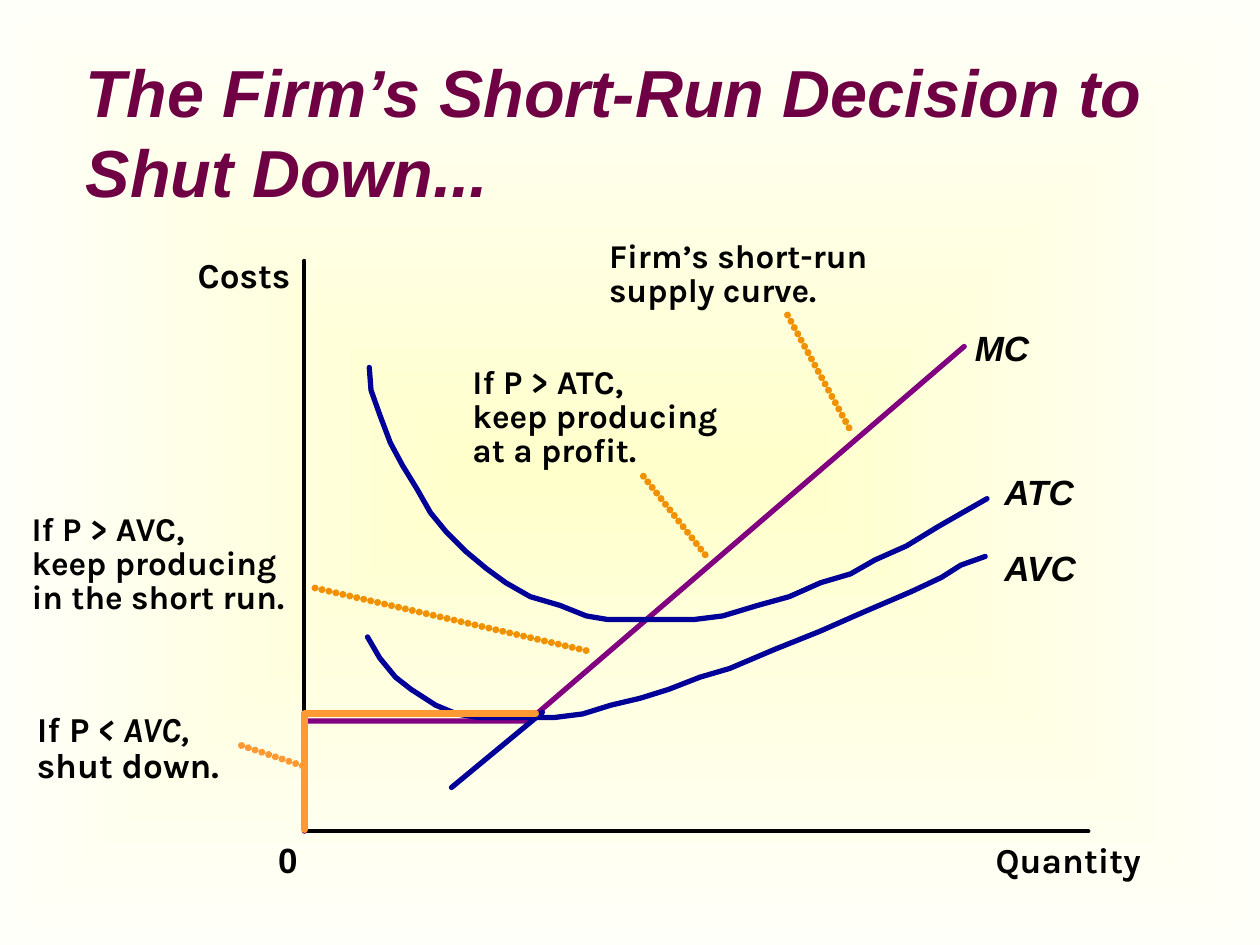
from dataclasses import dataclass

from lxml.etree import SubElement
from pptx import Presentation
from pptx.dml.color import RGBColor
from pptx.enum.shapes import MSO_CONNECTOR
from pptx.enum.text import MSO_ANCHOR
from pptx.oxml.ns import qn
from pptx.util import Pt


@dataclass(frozen=True)
class Theme:
    center: str = "FFFFCC"
    edge: str = "FFFFFA"
    title: str = "6E0043"
    ink: str = "000000"
    supply: str = "800080"
    cost: str = "000099"
    shutdown: str = "FF9933"
    leader: str = "EF9100"
    title_size: int = 38
    label_size: int = 20
    note_size: int = 19
    sans: str = "Arial"
    text: str = "Karla"


THEME = Theme()

# Curve points in points, measured from the top of the cost axis
ATC = [(37, 61), (38, 74), (43, 88), (49, 104), (56, 117), (64, 130), (72, 144),
       (81, 155), (92, 166), (104, 176), (115, 184), (129, 192), (146, 197),
       (161, 203), (173, 205), (223, 205), (239, 203), (259, 197), (277, 192),
       (295, 184), (312, 179), (326, 171), (344, 163), (362, 152), (390, 136)]
AVC = [(36, 215), (43, 227), (52, 238), (61, 245), (75, 254), (87, 259),
       (99, 261), (143, 261), (159, 259), (175, 254), (192, 250), (208, 245),
       (226, 238), (243, 233), (269, 222), (294, 212), (319, 201), (347, 189),
       (364, 181), (375, 174), (389, 169)]
MC = [(377, 49), (128, 263), (0, 263), (0, 326)]

# Text, x, y, width, font, italic
LABELS = [
    ("Costs", -61, -4, 58, THEME.text, False),
    ("Quantity", 395, 330, 94, THEME.text, False),
    ("0", -15, 330, 14, THEME.sans, False),
    ("MC", 383, 37.5, 40, THEME.sans, True),
    ("ATC", 400, 120, 48, THEME.sans, True),
    ("AVC", 400, 163, 48, THEME.sans, True),
]

# Lines of (text, italic) runs, box, size, leader ends, leader colour
NOTES = [
    ([[("If P", False), (" < AVC,", True)], [("shut down.", False)]],
     (-153, 259, 112, 41), THEME.label_size, [(-36, 277), (0, 289)], THEME.shutdown),
    ([[("If P > AVC,", False)], [("keep producing", False)], [("in the short run.", False)]],
     (-156, 145, 154, 58), THEME.note_size, [(6, 187), (162, 223)], THEME.leader),
    ([[("If P > ATC,", False)], [("keep producing", False)], [("at a profit.", False)]],
     (96, 61, 153, 58), THEME.note_size, [(229, 168), (192, 121)], THEME.leader),
    ([[("Firm’s short-run supply curve.", False)]],
     (174, -11, 204, 39), THEME.note_size, [(276, 31), (312, 97)], THEME.leader),
]


def apply(target, formats):
    for name, value in formats.items():
        setattr(target, name, value)


def style_stroke(stroke, color, width, dotted=False):
    stroke.line.color.rgb = RGBColor.from_string(color)
    stroke.line.width = Pt(width)
    outline = stroke.line._get_or_add_ln()
    outline.set("cap", "rnd")
    if dotted:
        dashes = SubElement(outline, qn("a:custDash"))
        SubElement(dashes, qn("a:ds"), d="100000", sp="2000")


def add_text(slide, box, lines, *, size, font, color=THEME.ink, wrap=False,
             spacing=None, margins=(0, 0), anchor=MSO_ANCHOR.TOP):
    """Place bold text; each line is a list of (text, italic) runs."""
    frame = slide.shapes.add_textbox(*map(Pt, box)).text_frame
    side, vertical = map(Pt, margins)
    apply(frame, {"word_wrap": wrap, "vertical_anchor": anchor,
                  "margin_left": side, "margin_right": side,
                  "margin_top": vertical, "margin_bottom": vertical})
    for index, line in enumerate(lines):
        paragraph = frame.add_paragraph() if index else frame.paragraphs[0]
        paragraph.line_spacing = spacing
        for words, italic in line:
            run = paragraph.add_run()
            run.text = words
            apply(run.font, {"name": font, "size": Pt(size), "bold": True, "italic": italic})
            run.font.color.rgb = RGBColor.from_string(color)


def add_path(slide, origin, points, color, width):
    left, top = origin
    start, *rest = [(Pt(left + x), Pt(top + y)) for x, y in points]
    builder = slide.shapes.build_freeform(*start)
    builder.add_line_segments(rest, close=False)
    curve = builder.convert_to_shape()
    curve.shadow.inherit = False
    curve.fill.background()
    style_stroke(curve, color, width)


def add_segment(slide, origin, ends, color, width, dotted=False):
    left, top = origin
    (x1, y1), (x2, y2) = ends
    segment = slide.shapes.add_connector(
        MSO_CONNECTOR.STRAIGHT,
        Pt(left + x1), Pt(top + y1), Pt(left + x2), Pt(top + y2))
    style_stroke(segment, color, width, dotted)
    SubElement(segment._element.spPr, qn("a:effectLst"))


def paint_background(slide):
    """Fill with a gradient that spreads from the centre as rectangles."""
    fill = slide.background.fill
    fill.gradient()
    for stop, position, color in zip(fill.gradient_stops, (0, 1), (THEME.center, THEME.edge)):
        stop.position = position
        stop.color.rgb = RGBColor.from_string(color)
    gradient = slide._element.find(".//" + qn("a:gradFill"))
    linear = gradient.find(qn("a:lin"))
    if linear is not None:
        gradient.remove(linear)
    spread = SubElement(gradient, qn("a:path"), path="rect")
    SubElement(spread, qn("a:fillToRect"), dict.fromkeys("ltrb", "50000"))


def add_title(slide, box):
    add_text(slide, box, [[("The Firm’s Short-Run Decision to Shut Down...", True)]],
             size=THEME.title_size, font=THEME.sans, color=THEME.title, wrap=True,
             margins=(7.2, 3.6), anchor=MSO_ANCHOR.MIDDLE)


def add_cost_diagram(slide, box):
    left, top, width, height = box
    origin = left, top
    add_path(slide, origin, [(0, 0), (0, height), (width, height)], THEME.ink, 2.25)
    add_path(slide, origin, MC, THEME.supply, 3)
    add_segment(slide, origin, [(84, 301), (136, 258)], THEME.cost, 3)
    for curve in (AVC, ATC):
        add_path(slide, origin, curve, THEME.cost, 3)
    corner = (0, 259)
    for end in ((0, 325), (132, 259)):
        add_segment(slide, origin, [corner, end], THEME.shutdown, 4)
    for words, x, y, label_width, font, italic in LABELS:
        add_text(slide, (left + x, top + y, label_width, 24), [[(words, italic)]],
                 size=THEME.label_size, font=font)


def add_notes(slide, origin):
    left, top = origin
    for lines, (x, y, width, height), size, leader, color in NOTES:
        add_text(slide, (left + x, top + y, width, height), lines, size=size,
                 font=THEME.text, spacing=0.85, wrap=len(lines) == 1)
        add_segment(slide, origin, leader, color, 4, dotted=True)


def main():
    deck = Presentation()
    apply(deck, {"slide_width": Pt(720), "slide_height": Pt(540)})
    slide = deck.slides.add_slide(deck.slide_layouts[6])
    plot = (174, 149, 448, 326)
    paint_background(slide)
    add_title(slide, (42, 30, 630, 90))
    add_cost_diagram(slide, plot)
    add_notes(slide, plot[:2])
    deck.save("out.pptx")


if __name__ == "__main__":
    main()
